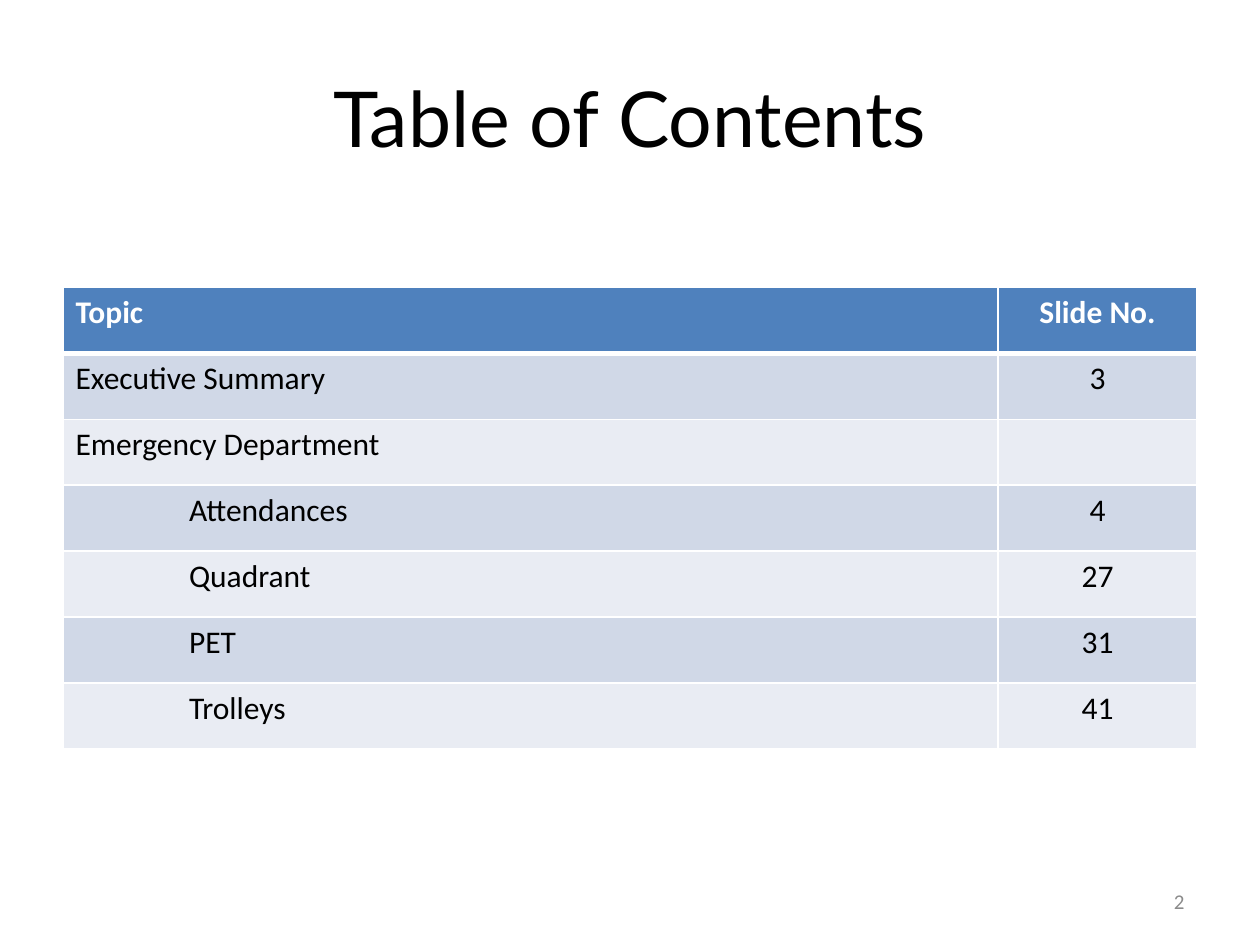
import pptx
import pptx.util
import pptx.dml.color
import pptx.enum.text
import pptx.oxml
import pptx.oxml.ns

Pt = pptx.util.Pt
Align = pptx.enum.text.PP_ALIGN
Mid = pptx.enum.text.MSO_ANCHOR.MIDDLE


def paint(run, name, size, color, bold=False):
    run.font.name = name
    run.font.size = Pt(size)
    run.font.bold = bold
    run.font.color.rgb = pptx.dml.color.RGBColor.from_string(color)


def edge(cell, widths):
    """Draw white borders; widths are points for left, right, top, bottom."""
    props = cell._tc.get_or_add_tcPr()
    for spot, (side, width) in enumerate(zip("LRTB", widths)):
        props.insert(spot, pptx.oxml.parse_xml(
            f'<a:ln{side} {pptx.oxml.ns.nsdecls("a")} w="{Pt(width)}">'
            '<a:solidFill><a:srgbClr val="FFFFFF"/></a:solidFill>'
            f'</a:ln{side}>'))


deck = pptx.Presentation()
deck.slide_width, deck.slide_height = Pt(720), Pt(540)
slide = deck.slides.add_slide(deck.slide_layouts[6])

# Title and slide number
labels = [
    ("Table of Contents", (36, 21.6, 648, 90), Align.CENTER, "Lato", 44, "000000"),
    ("2", (516, 500.5, 168, 28.75), Align.RIGHT, "Calibri", 12, "8B8B8B"),
]
for text, place, align, font, size, color in labels:
    frame = slide.shapes.add_textbox(*map(Pt, place)).text_frame
    frame.word_wrap = True
    frame.vertical_anchor = Mid
    frame.text = text
    line = frame.paragraphs[0]
    line.alignment = align
    paint(line.runs[0], font, size, color)

# Contents table: topic, slide number, whether the topic is indented
topics = [
    ("Topic", "Slide No.", False),
    ("Executive Summary", "3", False),
    ("Emergency Department", "", False),
    ("Attendances", "4", True),
    ("Quadrant", "27", True),
    ("PET", "31", True),
    ("Trolleys", "41", True),
]
high = 37.65
table = slide.shapes.add_table(
    len(topics), 2, Pt(36), Pt(164.3), Pt(648), Pt(high * len(topics))).table
table.columns[0].width, table.columns[1].width = Pt(534.4), Pt(113.6)

for row, (topic, number, indent) in enumerate(topics):
    table.rows[row].height = Pt(high)
    head = row == 0
    fill = "4F81BD" if head else ("E9ECF3", "D0D8E7")[row % 2]
    for col, text in enumerate((topic, number)):
        cell = table.cell(row, col)
        cell.fill.solid()
        cell.fill.fore_color.rgb = pptx.dml.color.RGBColor.from_string(fill)
        edge(cell, (0.96, 0.96, 3 if row == 1 else 0.96, 3 if head else 0.96))
        if indent and col == 0:
            cell.margin_left = Pt(72)
        cell.text_frame.text = text
        line = cell.text_frame.paragraphs[0]
        line.alignment = Align.CENTER if col else Align.LEFT
        for run in line.runs:
            paint(run, "Calibri", 18, "FFFFFF" if head else "000000", head)

deck.save("out.pptx")
